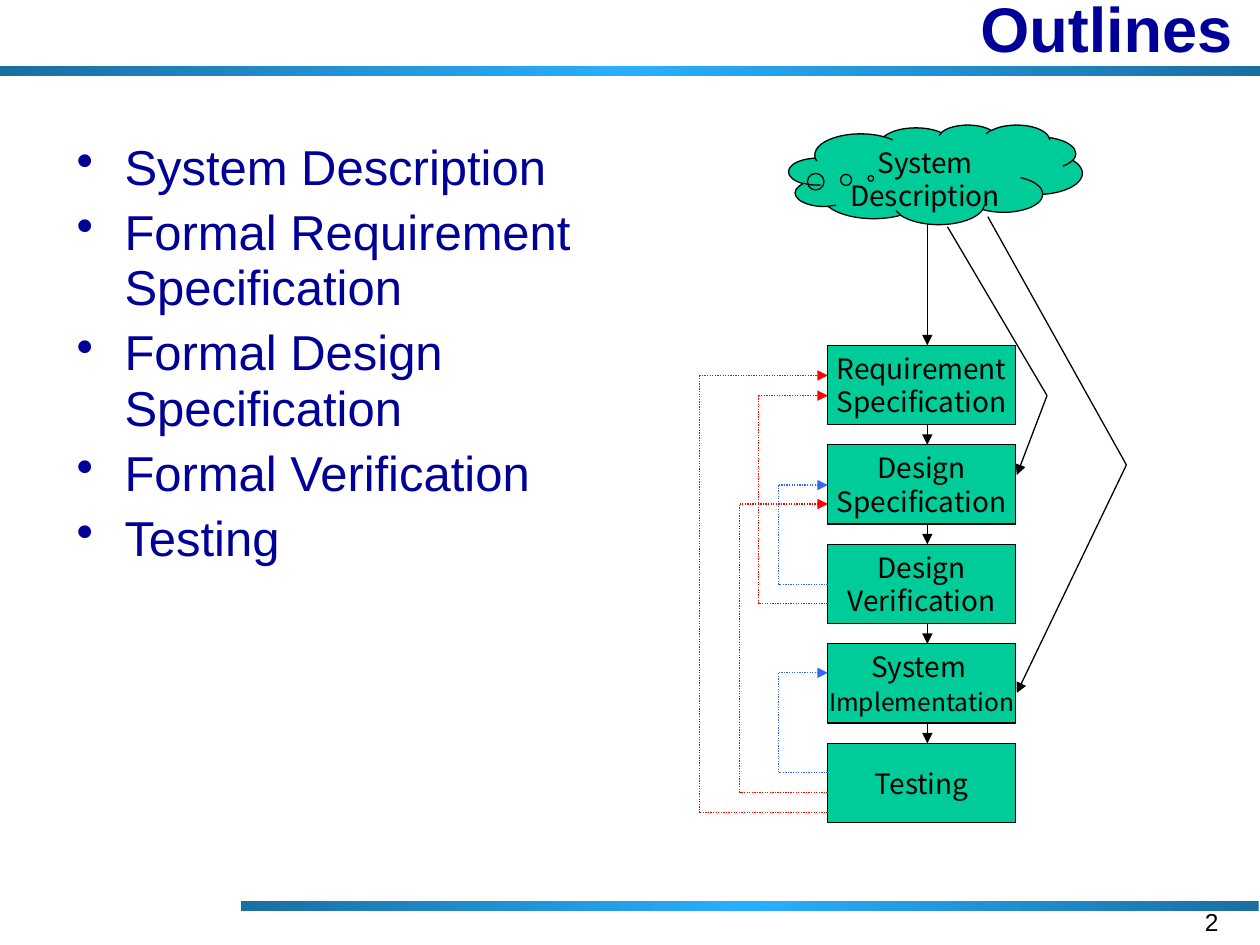
from copy import deepcopy
from itertools import pairwise

from pptx import Presentation
from pptx.dml.color import RGBColor
from pptx.enum.dml import MSO_LINE
from pptx.enum.shapes import MSO_CONNECTOR, MSO_SHAPE
from pptx.enum.text import MSO_ANCHOR, PP_ALIGN
from pptx.oxml.ns import qn
from pptx.util import Inches, Pt
from lxml.etree import SubElement

NAVY = RGBColor(0x00, 0x00, 0x99)
BLACK = RGBColor(0x00, 0x00, 0x00)
GREEN = RGBColor(0x00, 0xCC, 0x99)
RED = RGBColor(0xFF, 0x00, 0x00)
BLUE = RGBColor(0x33, 0x66, 0xFF)
BAR_EDGE = RGBColor(0x1A, 0x6F, 0xA2)
BAR_CENTER = RGBColor(0x29, 0xAF, 0xFF)

TOPICS = [
    "System Description",
    "Formal Requirement Specification",
    "Formal Design Specification",
    "Formal Verification",
    "Testing",
]
STAGES = [
    "Requirement\nSpecification",
    "Design\nSpecification",
    "Design\nVerification",
    "System \nImplementation",
    "Testing",
]
FEEDBACK_LOOPS = [
    (BLUE, 0.63, 3.65, 2.86),
    (BLUE, 0.63, 5.14, 4.35),
    (RED, 0.47, 3.8, 2.15),
    (RED, 0.32, 5.3, 3.01),
    (RED, 0, 5.46, 1.99),
]
SHORTCUTS = [
    [(1.97, 0.81), (2.76, 2.15), (2.52, 2.78)],
    [(2.29, 0.73), (3.39, 2.7), (2.52, 4.51)],
]


def add_bar(slide, left, top, width, height):
    """Add a horizontal bar with a gradient that is brightest in the middle."""
    bar = slide.shapes.add_shape(
        MSO_SHAPE.RECTANGLE, Inches(left), Inches(top), Inches(width), Inches(height)
    )
    bar.shadow.inherit = False
    bar.line.fill.background()
    bar.fill.gradient()
    bar.fill.gradient_angle = 0
    stop_list = bar.element.spPr.find(".//" + qn("a:gsLst"))
    stop_list.append(deepcopy(stop_list[-1]))
    colors = (BAR_EDGE, BAR_CENTER, BAR_EDGE)
    for stop, color, position in zip(bar.fill.gradient_stops, colors, (0, 0.5, 1)):
        stop.color.rgb = color
        stop.position = position


def add_text(slide, text, left, top, width, height, size, color):
    """Add a wrapping Arial text box and return its shape."""
    box = slide.shapes.add_textbox(
        Inches(left), Inches(top), Inches(width), Inches(height)
    )
    box.text_frame.word_wrap = True
    box.text_frame.text = text
    for paragraph in box.text_frame.paragraphs:
        paragraph.alignment = PP_ALIGN.RIGHT
        for run in paragraph.runs:
            run.font.name = "Arial"
            run.font.size = Pt(size)
            run.font.color.rgb = color
    return box


def add_title(slide, left, top, width, height):
    """Add the bold slide title, aligned right."""
    title = add_text(slide, "Outlines", left, top, width, height, 36, NAVY)
    title.text_frame.vertical_anchor = MSO_ANCHOR.MIDDLE
    title.text_frame.paragraphs[0].runs[0].font.bold = True


def add_topics(slide, left, top, width, height):
    """Add the bulleted list of topics."""
    topics = add_text(slide, "\n".join(TOPICS), left, top, width, height, 28, NAVY)
    for index, paragraph in enumerate(topics.text_frame.paragraphs):
        properties = paragraph._p.get_or_add_pPr()
        properties.set("marL", str(Inches(0.38)))
        properties.set("indent", str(-Inches(0.38)))
        SubElement(properties, qn("a:buChar")).set("char", "•")
        paragraph.alignment = PP_ALIGN.LEFT
        paragraph.line_spacing = 0.94
        paragraph.space_before = Pt(5.6 if index else 0)


def add_node(slide, kind, text, left, top, width, height):
    """Add a green outlined node with centred text and return its shape."""
    node = slide.shapes.add_shape(
        kind, Inches(left), Inches(top), Inches(width), Inches(height)
    )
    node.shadow.inherit = False
    node.fill.solid()
    node.fill.fore_color.rgb = GREEN
    node.line.color.rgb = BLACK
    node.line.width = Pt(0.75)
    node.text_frame.text = text
    for paragraph in node.text_frame.paragraphs:
        paragraph.alignment = PP_ALIGN.CENTER
        paragraph.line_spacing = Pt(19)
        for run in paragraph.runs:
            run.font.name = "Noto Sans CJK KR"
            run.font.size = Pt(14 if run.text == "Implementation" else 16)
            run.font.color.rgb = BLACK
    return node


def add_route(slide, left, top, points, color=BLACK, dash=None):
    """Add straight segments through the points, with an arrowhead on the last."""
    for (x1, y1), (x2, y2) in pairwise(points):
        segment = slide.shapes.add_connector(
            MSO_CONNECTOR.STRAIGHT,
            Inches(left + x1), Inches(top + y1),
            Inches(left + x2), Inches(top + y2),
        )
        segment.line.color.rgb = color
        segment.line.width = Pt(0.75)
        if dash:
            segment.line.dash_style = dash
        SubElement(segment.element.spPr, qn("a:effectLst"))
    line = segment.line._get_or_add_ln()
    SubElement(line, qn("a:tailEnd")).set("type", "triangle")


def add_process(slide, left, top):
    """Add the development process with its shortcuts and feedback loops."""
    stage_left, stage_top, stage_width, stage_height = 1.02, 1.75, 1.49, 0.63
    pitch, arrow_x = 0.79, 1.81
    cloud = add_node(
        slide, MSO_SHAPE.CLOUD_CALLOUT, "System\nDescription",
        left + 0.71, top, 2.33, 0.79,
    )
    cloud.adjustments[0] = -0.22
    cloud.adjustments[1] = 0.039
    cloud.text_frame.vertical_anchor = MSO_ANCHOR.TOP
    arrow_start = 0.79
    for index, text in enumerate(STAGES):
        y = stage_top + index * pitch
        stage = add_node(
            slide, MSO_SHAPE.RECTANGLE, text,
            left + stage_left, top + y, stage_width, stage_height,
        )
        stage.text_frame.word_wrap = False
        stage.text_frame.vertical_anchor = MSO_ANCHOR.MIDDLE
        add_route(slide, left, top, [(arrow_x, arrow_start), (arrow_x, y)])
        arrow_start = y + stage_height
    for points in SHORTCUTS:
        add_route(slide, left, top, points)
    for color, x, start, end in FEEDBACK_LOOPS:
        points = [(stage_left, start), (x, start), (x, end), (stage_left, end)]
        add_route(slide, left, top, points, color, MSO_LINE.ROUND_DOT)


def main():
    """Build the outline slide and save it."""
    presentation = Presentation()
    presentation.slide_width = Inches(10)
    presentation.slide_height = Inches(7.5)
    slide = presentation.slides.add_slide(presentation.slide_layouts[6])
    add_bar(slide, 0, 0.52, 10, 0.08)
    add_bar(slide, 1.91, 7.15, 8.08, 0.08)
    add_title(slide, 0.88, -0.16, 9, 0.76)
    add_topics(slide, 0.51, 1.07, 4.42, 5.67)
    add_text(slide, "2", 7.44, 7.15, 2.33, 0.35, 14, BLACK)
    add_process(slide, 5.55, 0.99)
    presentation.save("out.pptx")


if __name__ == "__main__":
    main()
